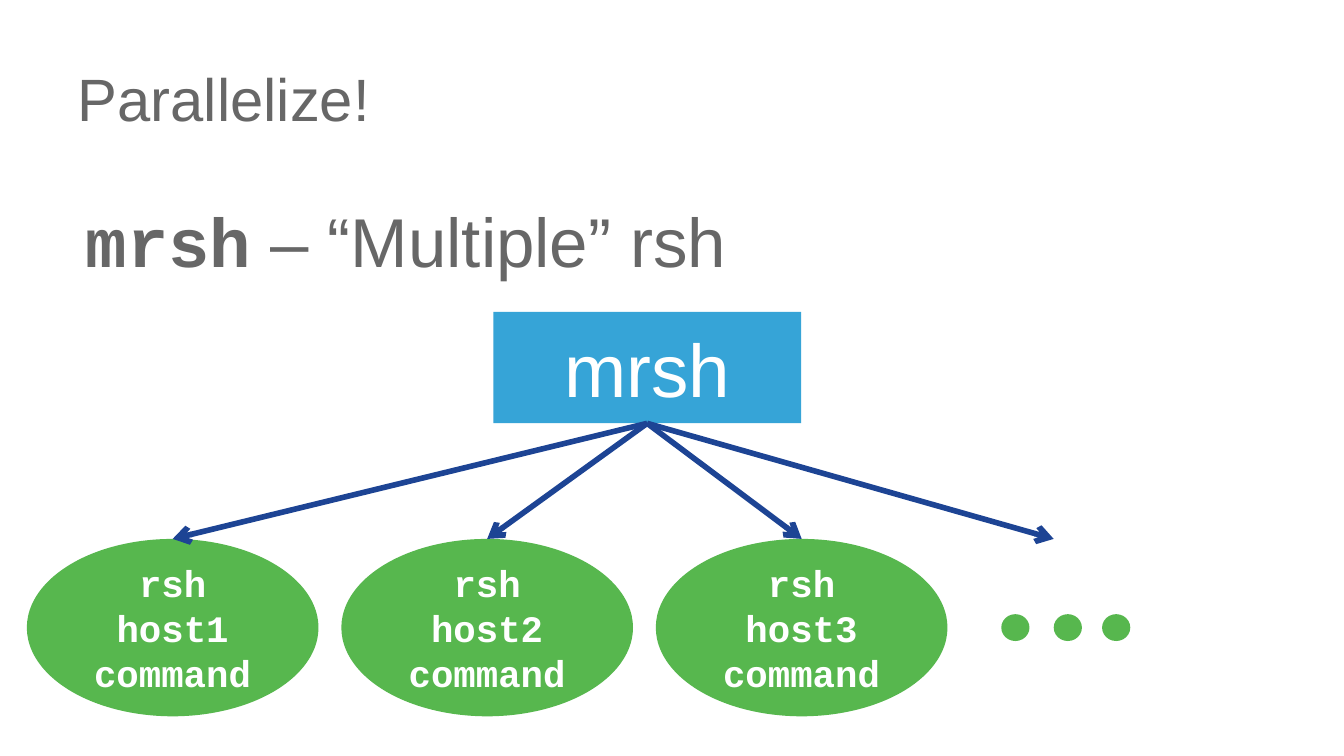
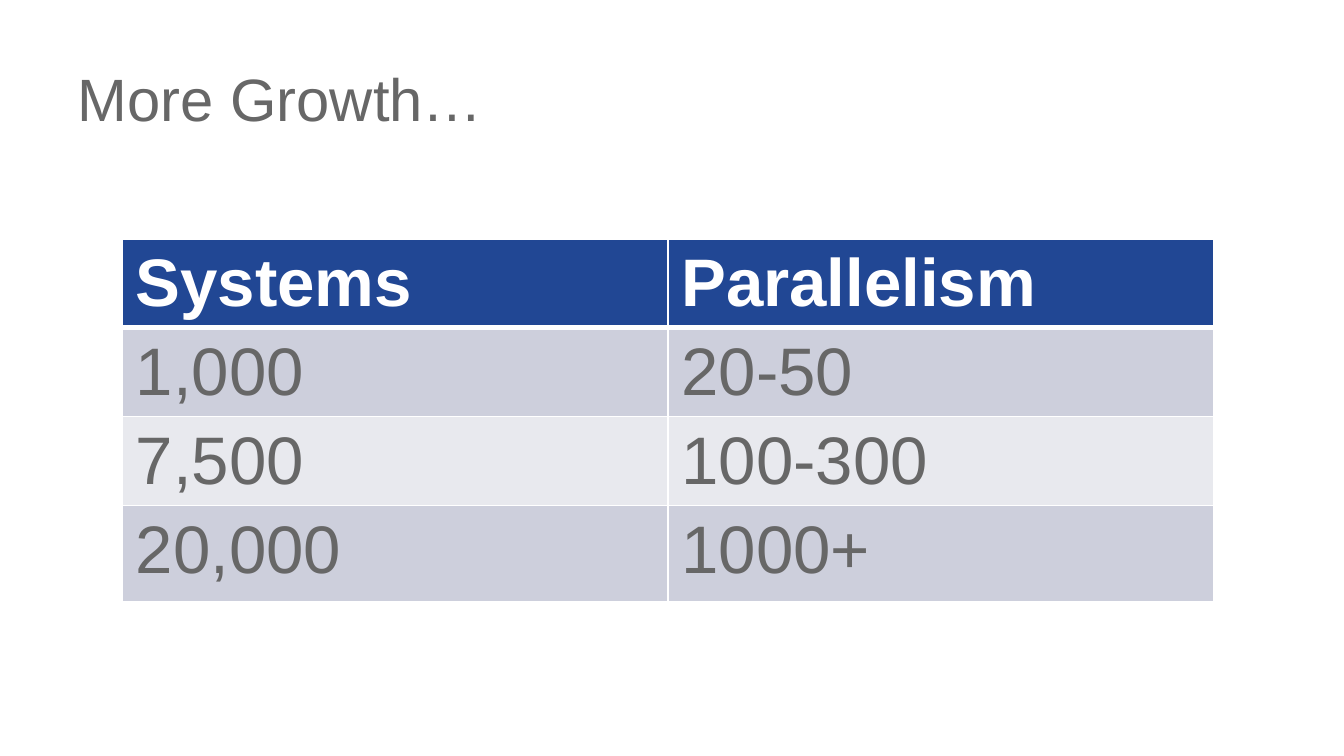
import pptx
import pptx.dml.color
import pptx.enum.shapes
import pptx.enum.text
import pptx.util
from pptx.oxml.ns import qn
from lxml import etree

Inches = pptx.util.Inches
Pt = pptx.util.Pt
SHAPE = pptx.enum.shapes.MSO_SHAPE
ANCHOR = pptx.enum.text.MSO_ANCHOR
ALIGN = pptx.enum.text.PP_ALIGN

COLORS = {
    "background": "FFFFFF",
    "text": "676767",
    "light": "FFFFFF",
    "launcher": "36A4D7",
    "host": "57B74E",
    "arrow": "1D4494",
    "header": "214794",
    "band_dark": "CDCFDC",
    "band_light": "E8E9EE",
}
SANS, MONO = "Arial", "Courier New"


def rgb(name):
    return pptx.dml.color.RGBColor.from_string(COLORS[name])


def style_font(font, size, color, face=SANS, bold=False):
    font.name, font.size, font.bold = face, Pt(size), bold
    font.color.rgb = rgb(color)


# Shared text and shape helpers
def add_text_box(slide, box, line_spacing, anchor=ANCHOR.TOP):
    frame = slide.shapes.add_textbox(*map(Inches, box)).text_frame
    frame.word_wrap = True
    frame.vertical_anchor = anchor
    line = frame.paragraphs[0]
    line.line_spacing = line_spacing
    return line


def add_title(slide, text, box=(0.48, 0.37, 9.13, 0.81)):
    title = add_text_box(slide, box, 0.8, ANCHOR.MIDDLE)
    title.text = text
    style_font(title.font, 32, "text")


def add_node(slide, kind, box, fill, text="", **font):
    node = slide.shapes.add_shape(kind, *map(Inches, box))
    node.shadow.inherit = False
    node.fill.solid()
    node.fill.fore_color.rgb = rgb(fill)
    node.line.fill.background()
    if text:
        frame = node.text_frame
        frame.word_wrap = True
        frame.vertical_anchor = ANCHOR.MIDDLE
        label = frame.paragraphs[0]
        label.text = text
        label.alignment = ALIGN.CENTER
        style_font(label.font, color="light", **font)
    return node


def add_arrow(slide, source, end, target=None):
    arrow = slide.shapes.add_connector(
        pptx.enum.shapes.MSO_CONNECTOR.STRAIGHT,
        source.left, source.top, Inches(end[0]), Inches(end[1]))
    arrow.begin_connect(source, 2)
    if target is not None:
        arrow.end_connect(target, 0)
    arrow.line.color.rgb = rgb("arrow")
    arrow.line.width = Pt(3)
    etree.SubElement(arrow.line._get_or_add_ln(), qn("a:tailEnd"), type="arrow")
    etree.SubElement(arrow._element.spPr, qn("a:effectLst"))


# Slide 1: command and the hosts it fans out to
def add_command_summary(slide, box):
    summary = add_text_box(slide, box, 0.95)
    summary._p.get_or_add_pPr().set("marL", str(Inches(0.06)))
    for text, face, bold in (("mrsh", MONO, True), (" – “Multiple” rsh", SANS, False)):
        run = summary.add_run()
        run.text = text
        style_font(run.font, 37, "text", face, bold)


def add_fan_out(slide, left, top):
    host_width, host_pitch, host_top = 2.17, 2.34, top + 1.69
    launcher = add_node(slide, SHAPE.RECTANGLE, (left + 3.47, top, 2.29, 0.83),
                        "launcher", "mrsh", size=40)
    hosts = [
        add_node(slide, SHAPE.OVAL, (left + i * host_pitch, host_top, host_width, 1.32),
                 "host", f"rsh host{i + 1} command", size=20, face=MONO, bold=True)
        for i in range(3)
    ]
    # Dots standing for further hosts
    for offset in (7.25, 7.64, 8):
        add_node(slide, SHAPE.OVAL, (left + offset, top + 2.25, 0.21, 0.2), "host")
    for i, host in enumerate(hosts):
        host_middle = left + i * host_pitch + host_width / 2
        add_arrow(slide, launcher, (host_middle, host_top), host)
    add_arrow(slide, launcher, (left + 7.64, host_top))


# Slide 2: growth table
def set_borders(cell, bottom_width):
    properties = cell._tc.get_or_add_tcPr()
    for side, width in (("L", 1), ("R", 1), ("T", 1), ("B", bottom_width)):
        border = etree.SubElement(properties, qn(f"a:ln{side}"), w=str(Pt(width)))
        fill = etree.SubElement(border, qn("a:solidFill"))
        etree.SubElement(fill, qn("a:srgbClr"), val=COLORS["light"])


def add_growth_table(slide, box, rows):
    table = slide.shapes.add_table(len(rows), len(rows[0]), *map(Inches, box)).table
    for row, height in zip(table.rows, (0.6, 0.6, 0.6, 0.72)):
        row.height = Inches(height)
    for r, values in enumerate(rows):
        is_header = r == 0
        band = "header" if is_header else "band_dark" if r % 2 else "band_light"
        for c, value in enumerate(values):
            cell = table.cell(r, c)
            cell.margin_bottom = Inches(0.01)
            set_borders(cell, 3 if is_header else 1)
            cell.fill.solid()
            cell.fill.fore_color.rgb = rgb(band)
            entry = cell.text_frame.paragraphs[0]
            entry.text = value
            style_font(entry.font, 36, "light" if is_header else "text", bold=is_header)


def add_slide(deck, title):
    slide = deck.slides.add_slide(deck.slide_layouts[6])
    slide.background.fill.solid()
    slide.background.fill.fore_color.rgb = rgb("background")
    add_title(slide, title)
    return slide


def main():
    deck = pptx.Presentation()
    # Widescreen, 16:9
    deck.slide_width, deck.slide_height = Inches(10), Inches(10 * 9 / 16)

    parallelize = add_slide(deck, "Parallelize!")
    add_command_summary(parallelize, (0.48, 1.47, 9.13, 0.85))
    add_fan_out(parallelize, 0.2, 2.32)

    growth = add_slide(deck, "More Growth…")
    add_growth_table(growth, (0.91, 1.78, 8.12, 2.82), [
        ("Systems", "Parallelism"),
        ("1,000", "20-50"),
        ("7,500", "100-300"),
        ("20,000", "1000+"),
    ])
    deck.save("out.pptx")


if __name__ == "__main__":
    main()
